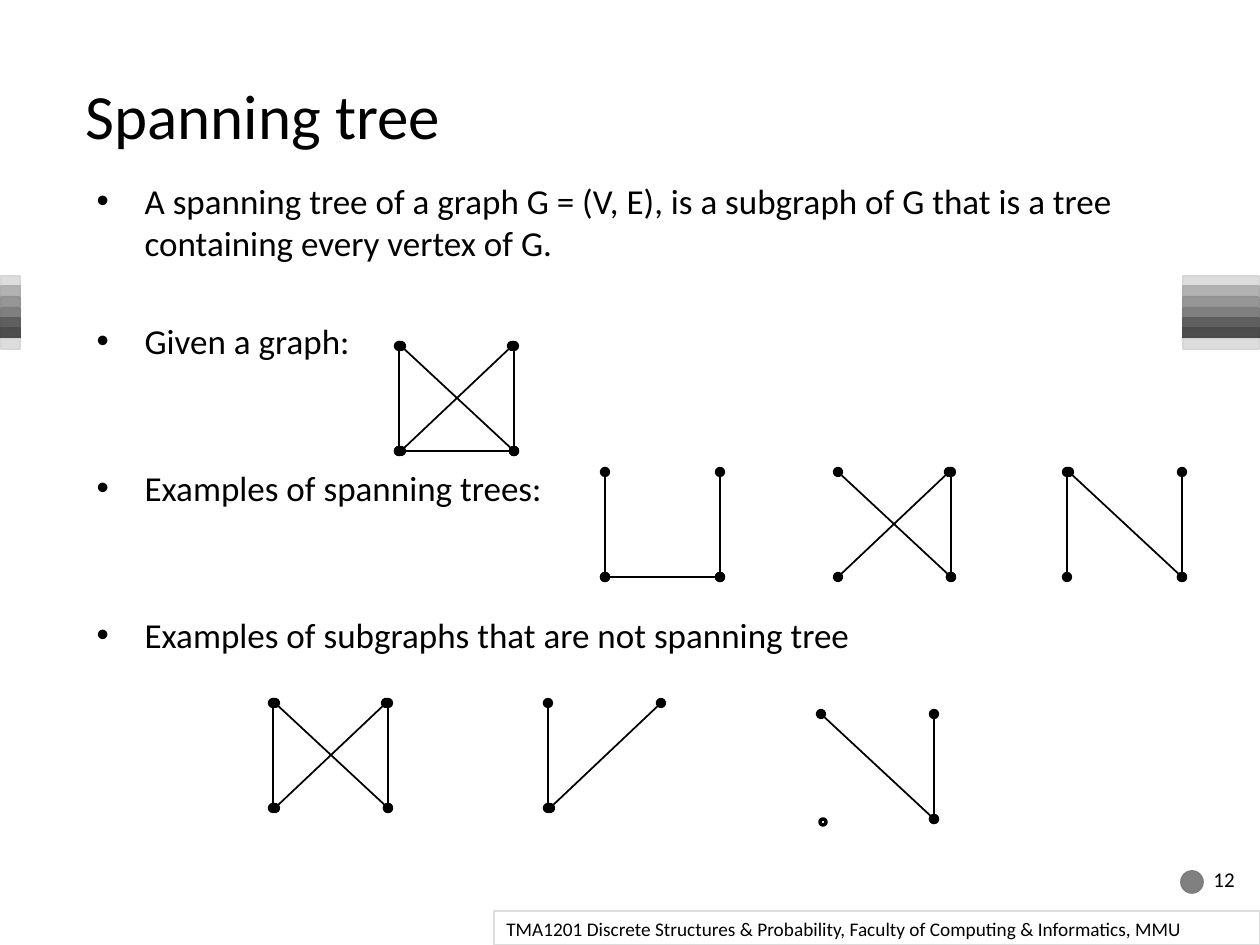
from dataclasses import dataclass
from typing import Any, NamedTuple

from lxml import etree
from pptx import Presentation
from pptx.dml.color import RGBColor
from pptx.enum.shapes import MSO_CONNECTOR, MSO_SHAPE
from pptx.enum.text import MSO_ANCHOR, MSO_AUTO_SIZE, PP_ALIGN
from pptx.oxml.ns import qn
from pptx.util import Emu, Pt

RECTANGLE, OVAL = MSO_SHAPE.RECTANGLE, MSO_SHAPE.OVAL
STRAIGHT = MSO_CONNECTOR.STRAIGHT
TOP, MIDDLE, BOTTOM = MSO_ANCHOR.TOP, MSO_ANCHOR.MIDDLE, MSO_ANCHOR.BOTTOM
LEFT = PP_ALIGN.LEFT
NO_AUTOFIT = MSO_AUTO_SIZE.NONE
PX = 914400 / 126


def grey(level: int) -> RGBColor:
    return RGBColor(level, level, level)


@dataclass(frozen=True)
class Theme:
    font: str = "Calibri"
    ink: RGBColor = grey(0)
    paper: RGBColor = grey(255)
    frame: RGBColor = grey(221)
    stripes: tuple[int, ...] = (221, 178, 150, 128, 95, 77, 221)
    marker: int = 128
    outline_shade: float = 0.975
    title: int = 36
    body: int = 20
    number: int = 12
    footer: int = 11


class Box(NamedTuple):
    left: int
    top: int
    width: int
    height: int


class Edge(NamedTuple):
    x1: int
    y1: int
    x2: int
    y2: int


class Bullet(NamedTuple):
    text: str
    space_before: int


@dataclass(frozen=True)
class Graph:
    left: int
    top: int
    edges: tuple[Edge, ...]


THEME = Theme()
SIDE, DROP, INSET = 115, 105, 2
LEFT_EDGE = Edge(0, 0, 0, DROP)
RIGHT_EDGE = Edge(SIDE, 0, SIDE, DROP)
BASE = Edge(0, DROP, SIDE, DROP)
FALLING = Edge(INSET, 0, SIDE, DROP)
RISING = Edge(SIDE - INSET, 0, INSET, DROP)

GRAPHS = (
    Graph(399, 346, (LEFT_EDGE, RIGHT_EDGE, BASE, FALLING, RISING)),
    Graph(605, 472, (LEFT_EDGE, RIGHT_EDGE, BASE)),
    Graph(836, 472, (RIGHT_EDGE, FALLING, RISING)),
    Graph(1067, 472, (LEFT_EDGE, RIGHT_EDGE, FALLING)),
    Graph(273, 703, (LEFT_EDGE, RIGHT_EDGE, FALLING, RISING)),
    Graph(548, 703, (LEFT_EDGE, RISING)),
    Graph(819, 714, (RIGHT_EDGE, FALLING)),
)
ISOLATED_VERTEX = Box(820, 819, 6, 6)
BULLETS = (
    Bullet("A spanning tree of a graph G = (V, E), is a subgraph of G "
           "that is a tree containing every vertex of G.", 0),
    Bullet("Given a graph:", 32),
    Bullet("Examples of spanning trees:", 60),
    Bullet("Examples of subgraphs that are not spanning tree", 60),
)
STRIPE_BANDS = (Box(1, 276, 19, 10), Box(1183, 276, 76, 10))
STRIPE_PITCH = 10.5


def emu(*pixels: float) -> list[Emu]:
    return [Emu(round(p * PX)) for p in pixels]


def set_values(target: Any, values: dict[str, Any]) -> None:
    for key, value in values.items():
        setattr(target, key, value)


def place(shape: Any, box: Box) -> None:
    set_values(shape, dict(zip(("left", "top", "width", "height"), emu(*box))))


def set_font(paragraph: Any, size: int) -> None:
    set_values(paragraph.font, {"name": THEME.font, "size": Pt(size), "bold": False})
    paragraph.font.color.rgb = THEME.ink


def write(shape: Any, text: str, size: int, anchor: Any) -> None:
    frame = shape.text_frame
    set_values(frame, {"text": text, "word_wrap": True,
                       "auto_size": NO_AUTOFIT, "vertical_anchor": anchor})
    paragraph = frame.paragraphs[0]
    paragraph.alignment = LEFT
    set_font(paragraph, size)


def draw_shape(shapes: Any, kind: Any, box: Box, fill: RGBColor,
               line: RGBColor, weight: float) -> Any:
    shape = shapes.add_shape(kind, *emu(*box))
    shape.shadow.inherit = False
    shape.fill.solid()
    shape.fill.fore_color.rgb = fill
    shape.line.color.rgb = line
    shape.line.width = Pt(weight)
    return shape


def draw_grey(shapes: Any, kind: Any, box: Box, level: int) -> None:
    outline = grey(round(level * THEME.outline_shade))
    draw_shape(shapes, kind, box, grey(level), outline, 1)


def draw_stripes(shapes: Any, band: Box) -> None:
    group = shapes.add_group_shape()
    for row, level in enumerate(THEME.stripes):
        top = band.top + round(row * STRIPE_PITCH)
        draw_grey(group.shapes, RECTANGLE, band._replace(top=top), level)


def draw_edge(shapes: Any, graph: Graph, edge: Edge) -> None:
    ends = emu(graph.left + edge.x1, graph.top + edge.y1,
               graph.left + edge.x2, graph.top + edge.y2)
    connector = shapes.add_connector(STRAIGHT, *ends)
    connector.line.color.rgb = THEME.ink
    connector.line.width = Pt(1)
    outline = connector.line._get_or_add_ln()
    for tag in ("a:headEnd", "a:tailEnd"):
        etree.SubElement(outline, qn(tag), type="oval")
    etree.SubElement(connector._element.spPr, qn("a:effectLst"))


def draw_graph(shapes: Any, graph: Graph) -> None:
    group = shapes.add_group_shape()
    for edge in graph.edges:
        draw_edge(group.shapes, graph, edge)


def fill_bullets(body: Any) -> None:
    frame = body.text_frame
    set_values(frame, {"word_wrap": True, "auto_size": NO_AUTOFIT,
                       "vertical_anchor": TOP})
    indent = emu(48)[0]
    for index, bullet in enumerate(BULLETS):
        paragraph = frame.add_paragraph() if index else frame.paragraphs[0]
        paragraph.text = bullet.text
        properties = paragraph._p.get_or_add_pPr()
        for key, value in {"marL": indent, "indent": -indent}.items():
            properties.set(key, str(value))
        etree.SubElement(properties, qn("a:buChar"), char="•")
        paragraph.space_before = Pt(bullet.space_before)
        set_font(paragraph, THEME.body)


def main() -> None:
    deck = Presentation()
    set_values(deck, dict(zip(("slide_width", "slide_height"), emu(1260, 945))))
    slide = deck.slides.add_slide(deck.slide_layouts[1])
    shapes = slide.shapes

    title, body = shapes.title, slide.placeholders[1]
    place(title, Box(73, 0, 1061, 158))
    write(title, "Spanning tree", THEME.title, BOTTOM)
    place(body, Box(84, 173, 1050, 731))
    fill_bullets(body)

    for band in STRIPE_BANDS:
        draw_stripes(shapes, band)
    draw_grey(shapes, OVAL, Box(1181, 871, 22, 22), THEME.marker)
    page_number = shapes.add_textbox(*emu(1201, 848, 59, 63))
    write(page_number, "12", THEME.number, MIDDLE)

    for graph in GRAPHS:
        draw_graph(shapes, graph)
    draw_shape(shapes, OVAL, ISOLATED_VERTEX, THEME.paper, THEME.ink, 2)

    footer = draw_shape(shapes, RECTANGLE, Box(494, 911, 766, 34),
                        THEME.paper, THEME.frame, 0.75)
    write(footer, "TMA1201 Discrete Structures & Probability, "
          "Faculty of Computing & Informatics, MMU", THEME.footer, TOP)
    deck.save("out.pptx")


if __name__ == "__main__":
    main()
